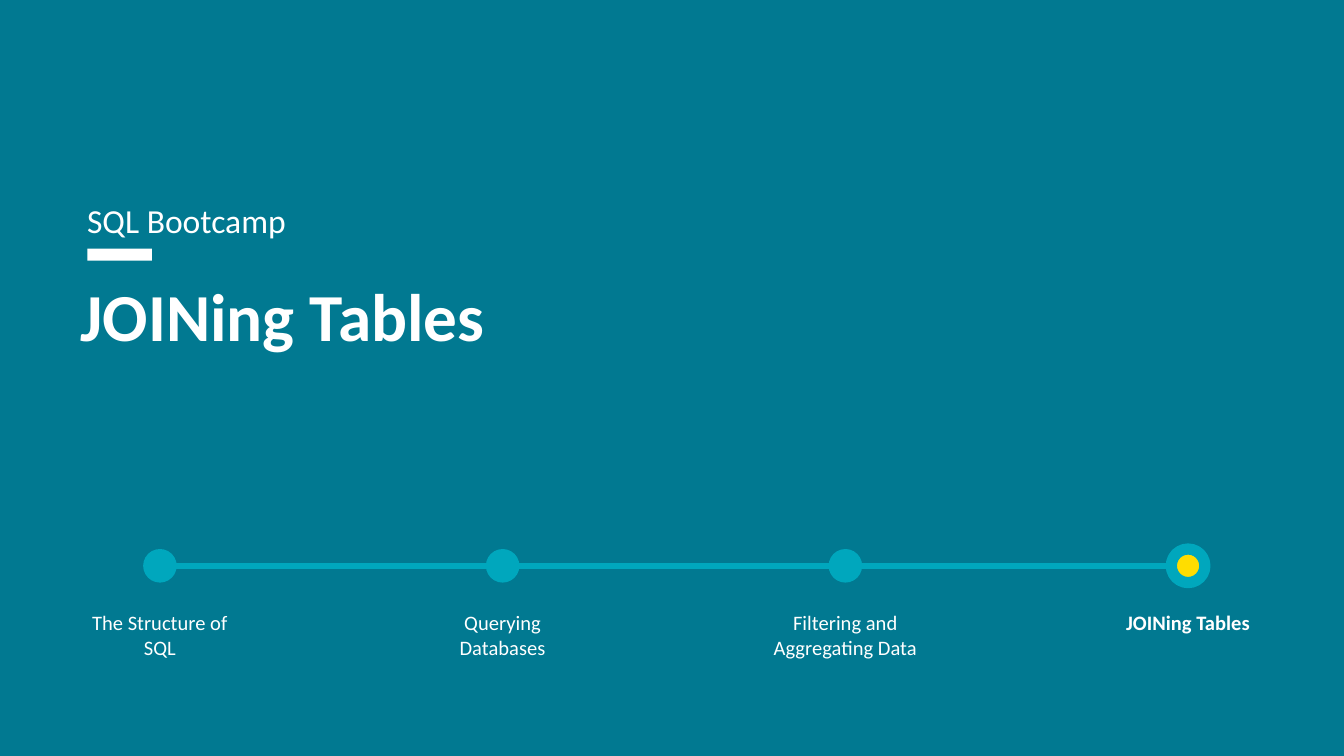
from pptx import Presentation
from pptx.dml.color import RGBColor
from pptx.enum.shapes import MSO_CONNECTOR, MSO_SHAPE
from pptx.enum.text import MSO_ANCHOR, MSO_AUTO_SIZE, PP_ALIGN
from pptx.oxml.ns import qn
from pptx.util import Inches, Pt

STRAIGHT = MSO_CONNECTOR.STRAIGHT
RECTANGLE, OVAL = MSO_SHAPE.RECTANGLE, MSO_SHAPE.OVAL
TOP, NO_FIT = MSO_ANCHOR.TOP, MSO_AUTO_SIZE.NONE
LEFT, CENTER = PP_ALIGN.LEFT, PP_ALIGN.CENTER

COLORS = {"background": "017991", "text": "FFFFFF",
          "track": "00A7BD", "current": "FFDD00"}
FONT = "Calibri"
STEPS = ["The Structure of SQL", "Querying Databases",
         "Filtering and Aggregating Data", "JOINing Tables"]
CURRENT_STEP = len(STEPS) - 1

SLIDE_WIDTH = 10
SLIDE_HEIGHT = SLIDE_WIDTH * 9 / 16
FIRST_CENTER, STEP_GAP = 1.19, 2.55
TRACK_Y, LABEL_TOP = 4.21, 4.44
DOT_SIZE = 0.25
LABEL_WIDTH, LABEL_HEIGHT = 1.33, 1


def color(name):
    return RGBColor.from_string(COLORS[name])


def write_text(box, text, size, bold=False, align=LEFT):
    frame = box.text_frame
    frame.word_wrap = True
    frame.auto_size = NO_FIT
    frame.vertical_anchor = TOP
    frame.margin_left = frame.margin_right = Inches(0.1)
    frame.margin_top = frame.margin_bottom = Inches(0.1)
    para = frame.paragraphs[0]
    para.text = text
    para.alignment = align
    para.font.name = FONT
    para.font.size = Pt(size)
    para.font.bold = bold
    para.font.color.rgb = color("text")
    return para


def add_text(slide, left, top, width, height, text, size, **style):
    box = slide.shapes.add_textbox(*map(Inches, (left, top, width, height)))
    return write_text(box, text, size, **style)


def add_filled_shape(slide, kind, left, top, width, height, fill):
    shape = slide.shapes.add_shape(
        kind, *map(Inches, (left, top, width, height)))
    shape.shadow.inherit = False
    shape.fill.solid()
    shape.fill.fore_color.rgb = color(fill)
    shape.line.fill.background()
    return shape


def add_track(slide, start, end):
    line = slide.shapes.add_connector(
        STRAIGHT, *map(Inches, (start, TRACK_Y, end, TRACK_Y)))
    line.line.color.rgb = color("track")
    line.line.width = Pt(3)
    properties = line._element.spPr
    properties.append(properties.makeelement(qn("a:effectLst"), {}))


def add_step(slide, center, label, is_current):
    dot = add_filled_shape(slide, OVAL, center - DOT_SIZE / 2,
                           TRACK_Y - DOT_SIZE / 2, DOT_SIZE, DOT_SIZE,
                           "current" if is_current else "track")
    if is_current:
        dot.line.color.rgb = color("track")
        dot.line.width = Pt(6)
    add_text(slide, center - LABEL_WIDTH / 2, LABEL_TOP, LABEL_WIDTH,
             LABEL_HEIGHT, label, 11, bold=is_current, align=CENTER)


def add_heading(slide):
    title = slide.shapes.title
    title.left, title.top = Inches(0.5), Inches(1.94)
    title.width, title.height = Inches(8.26), Inches(1.74)
    write_text(title, "JOINing Tables", 36, bold=True)
    subtitle = add_text(slide, 0.55, 1.34, 8.16, 0.45, "SQL Bootcamp", 18)
    subtitle.line_spacing = 1.15
    add_filled_shape(slide, RECTANGLE, 0.65, 1.85, 0.48, 0.09, "text")


def add_timeline(slide):
    centers = [FIRST_CENTER + i * STEP_GAP for i in range(len(STEPS))]
    for start, end in zip(centers, centers[1:]):
        add_track(slide, start, end)
    for i, (center, label) in enumerate(zip(centers, STEPS)):
        add_step(slide, center, label, i == CURRENT_STEP)


def main():
    deck = Presentation()
    deck.slide_width = Inches(SLIDE_WIDTH)
    deck.slide_height = Inches(SLIDE_HEIGHT)
    slide = deck.slides.add_slide(deck.slide_layouts.get_by_name("Title Only"))
    slide.background.fill.solid()
    slide.background.fill.fore_color.rgb = color("background")
    add_heading(slide)
    add_timeline(slide)
    deck.save("out.pptx")


if __name__ == "__main__":
    main()
